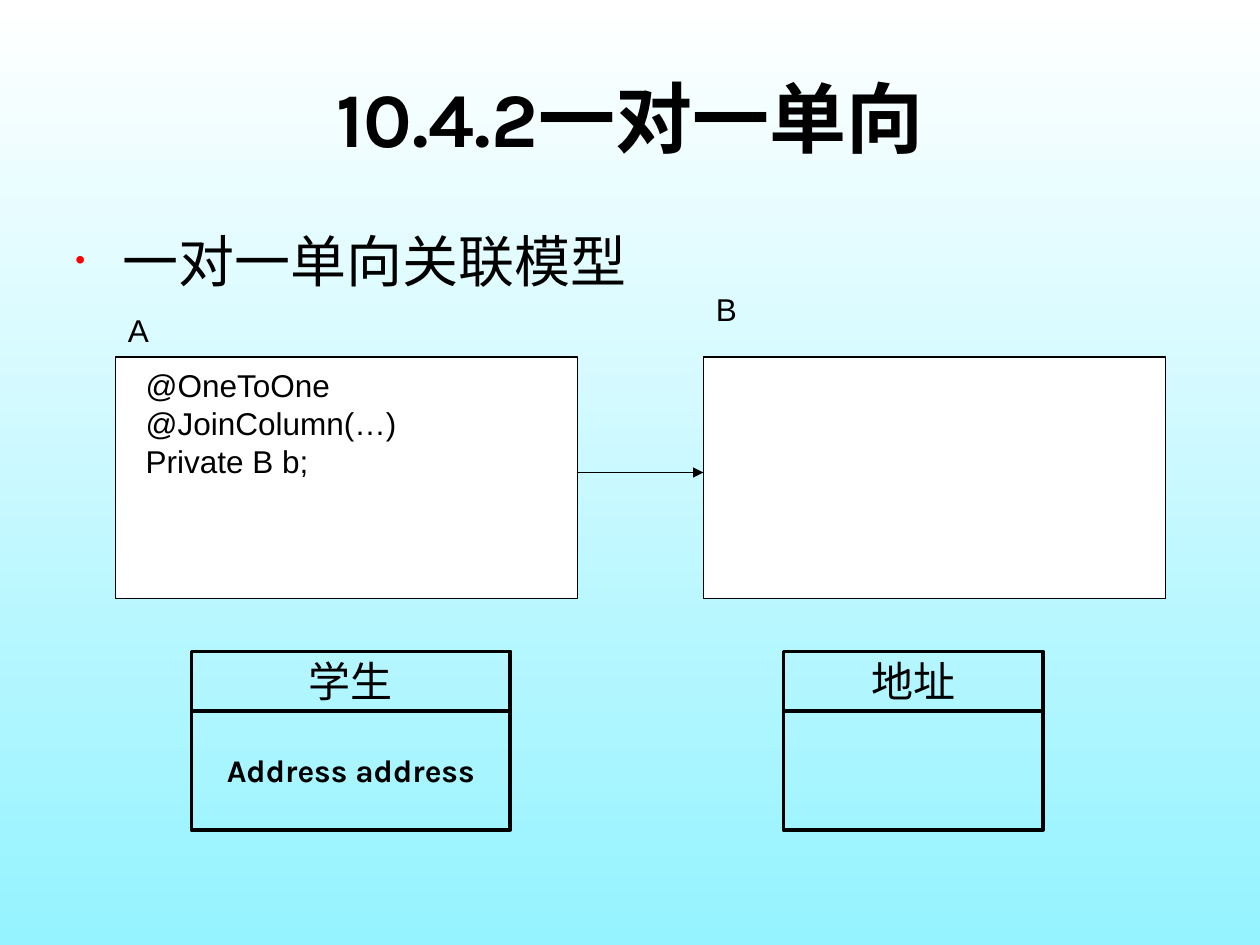
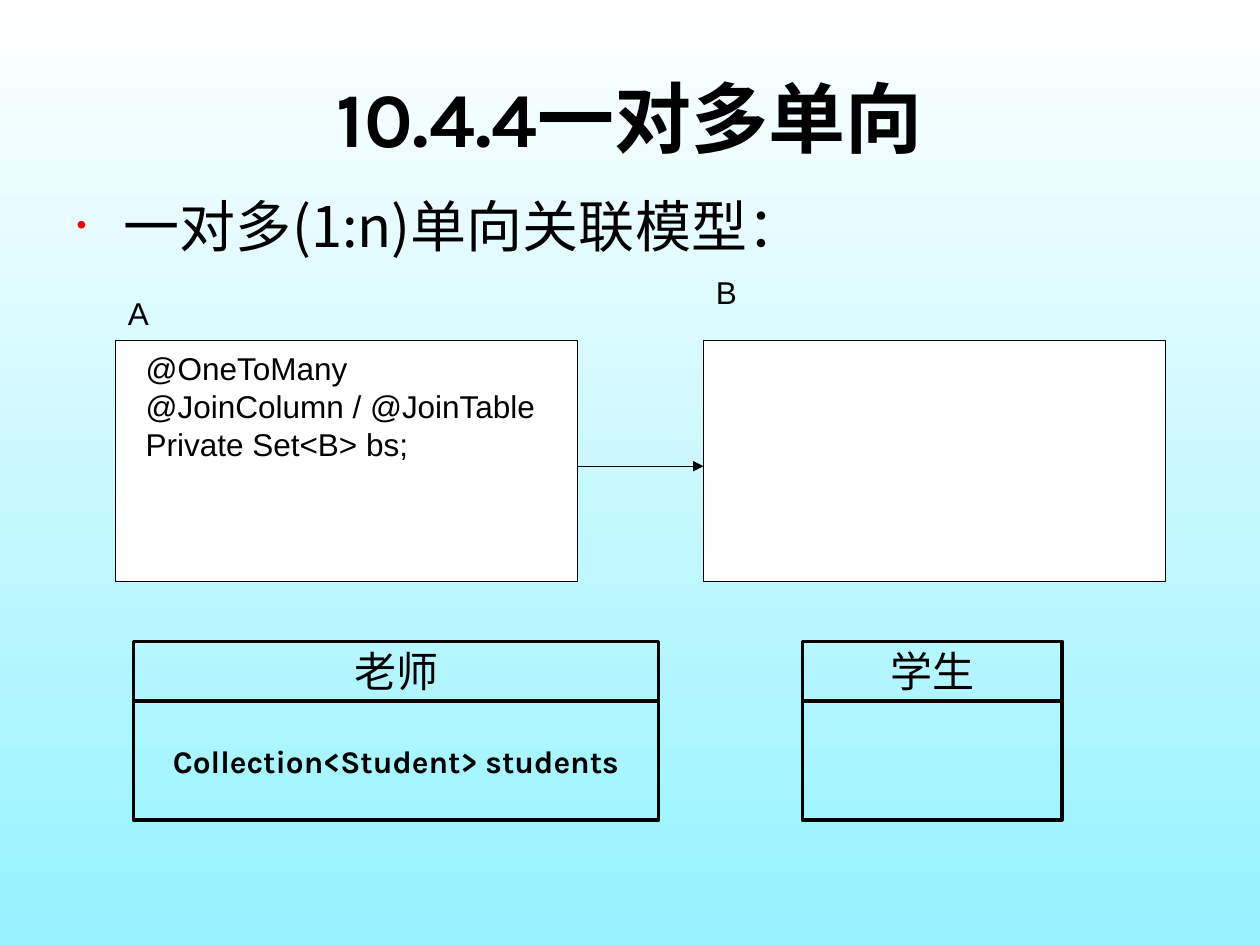
from pptx import Presentation
from pptx.dml.color import RGBColor
from pptx.enum.shapes import MSO_CONNECTOR, MSO_SHAPE
from pptx.enum.text import MSO_ANCHOR, PP_ALIGN
from pptx.oxml.ns import qn
from pptx.util import Pt
from lxml import etree

RECTANGLE = MSO_SHAPE.RECTANGLE
STRAIGHT = MSO_CONNECTOR.STRAIGHT
LEFT, CENTER = PP_ALIGN.LEFT, PP_ALIGN.CENTER
TOP, MIDDLE = MSO_ANCHOR.TOP, MSO_ANCHOR.MIDDLE

COLORS = {"ink": "000000", "paper": "FFFFFF", "sky": "94F3FF", "bullet": "FF0000"}
DISPLAY, CJK, CODE = "Karla", "Noto Sans CJK SC", "Arial"

CLASS_LEFT, CLASS_WIDTH, CLASS_HEIGHT, CLASS_GAP = 66, 264, 138, 72
LABEL_WIDTH, LABEL_HEIGHT = 120, 29
ENTITY_HEADER, ENTITY_BODY = 34, 68

SLIDES = [
    {
        "title": "10.4.2一对一单向",
        "topic": "一对一单向关联模型",
        "topic_box": (36, 126, 648, 356),
        "code": ["@OneToOne", "@JoinColumn(…)", "Private B b;"],
        "classes_top": 204,
        "arrow_drop": 66,
        "entities": [
            ("学生", "Address address", 109.4, 372.2, 182.2),
            ("地址", "", 447.8, 372.2, 148.3),
        ],
    },
    {
        "title": "10.4.4一对多单向",
        "topic": "一对多(1:n)单向关联模型：",
        "topic_box": (36.7, 106, 636, 372),
        "code": ["@OneToMany", "@JoinColumn / @JoinTable", "Private Set<B> bs;"],
        "classes_top": 194.4,
        "arrow_drop": 72,
        "entities": [
            ("老师", "Collection<Student> students", 76.3, 366.5, 300),
            ("学生", "", 458.6, 366.5, 148.3),
        ],
    },
]


def rgb(name):
    return RGBColor.from_string(COLORS[name])


def points(*lengths):
    return [Pt(length) for length in lengths]


def style(paragraph, size, font, bold=False, align=LEFT):
    paragraph.alignment = align
    paragraph.font.size = Pt(size)
    paragraph.font.bold = bold
    paragraph.font.color.rgb = rgb("ink")
    paragraph.font.name = font
    defaults = paragraph.font._element if hasattr(paragraph.font, "_element") else \
        paragraph._p.get_or_add_pPr().find(qn("a:defRPr"))
    etree.SubElement(defaults, qn("a:ea"), typeface=CJK)


def add_box(slide, box, line_width, fill=None):
    rectangle = slide.shapes.add_shape(RECTANGLE, *points(*box))
    rectangle.shadow.inherit = False
    rectangle.line.color.rgb = rgb("ink")
    rectangle.line.width = Pt(line_width)
    if fill:
        rectangle.fill.solid()
        rectangle.fill.fore_color.rgb = rgb(fill)
    else:
        rectangle.fill.background()
    return rectangle


def add_title(slide, text):
    title = slide.shapes.title
    title.left, title.top, title.width, title.height = points(36, 21.6, 648, 90)
    title.text_frame.text = text
    title.text_frame.vertical_anchor = MIDDLE
    style(title.text_frame.paragraphs[0], 44, DISPLAY, True, CENTER)


def add_topic(slide, text, box):
    frame = slide.shapes.add_textbox(*points(*box)).text_frame
    frame.word_wrap = True
    frame.text = text
    paragraph = frame.paragraphs[0]
    properties = paragraph._p.get_or_add_pPr()
    properties.set("marL", str(Pt(27)))
    properties.set("indent", str(-Pt(27)))
    bullet_color = etree.SubElement(properties, qn("a:buClr"))
    etree.SubElement(bullet_color, qn("a:srgbClr"), val=COLORS["bullet"])
    etree.SubElement(properties, qn("a:buSzPct"), val="50000")
    etree.SubElement(properties, qn("a:buFont"), typeface=CODE)
    etree.SubElement(properties, qn("a:buChar"), char="•")
    style(paragraph, 32, CJK)


def add_label(slide, text, left, top):
    frame = slide.shapes.add_textbox(*points(left, top, LABEL_WIDTH, LABEL_HEIGHT)).text_frame
    frame.word_wrap = True
    frame.text = text
    style(frame.paragraphs[0], 18, CODE)


def add_code(class_box, lines):
    frame = class_box.text_frame
    frame.word_wrap = False
    frame.vertical_anchor = TOP
    frame.margin_left, frame.margin_top = points(17.2, 4.8)
    frame.text = "\n".join(lines)
    for paragraph in frame.paragraphs:
        paragraph.line_spacing = Pt(21.7)
        style(paragraph, 18, CODE)


def add_arrow(slide, start, end, y):
    arrow = slide.shapes.add_connector(STRAIGHT, *points(start, y, end, y))
    arrow.line.color.rgb = rgb("ink")
    arrow.line.width = Pt(0.75)
    etree.SubElement(arrow.line._get_or_add_ln(), qn("a:tailEnd"), type="triangle")
    etree.SubElement(arrow._element.spPr, qn("a:effectLst"))


def add_class_pair(slide, code, top, arrow_drop):
    right = CLASS_LEFT + CLASS_WIDTH + CLASS_GAP
    owner, _ = [
        add_box(slide, (left, top, CLASS_WIDTH, CLASS_HEIGHT), 0.75, "paper")
        for left in (CLASS_LEFT, right)
    ]
    add_code(owner, code)
    add_label(slide, "A", CLASS_LEFT, top - 30)
    add_label(slide, "B", right, top - 42)
    add_arrow(slide, right - CLASS_GAP, right, top + arrow_drop)


def add_entity(slide, name, field, left, top, width):
    rows = [
        (name, top, ENTITY_HEADER, 24, False),
        (field, top + ENTITY_HEADER, ENTITY_BODY, 18, True),
    ]
    for text, row_top, height, size, bold in rows:
        row = add_box(slide, (left, row_top, width, height), 2)
        if text:
            row.text_frame.text = text
            row.text_frame.vertical_anchor = MIDDLE
            style(row.text_frame.paragraphs[0], size, DISPLAY, bold, CENTER)


def set_background(master):
    fill = master.background.fill
    fill.gradient()
    fill.gradient_angle = 270
    for stop, name in zip(fill.gradient_stops, ("paper", "sky")):
        stop.color.rgb = rgb(name)


def add_association_slide(deck, content):
    slide = deck.slides.add_slide(deck.slide_layouts.get_by_name("Title Only"))
    add_title(slide, content["title"])
    add_topic(slide, content["topic"], content["topic_box"])
    add_class_pair(slide, content["code"], content["classes_top"], content["arrow_drop"])
    for entity in content["entities"]:
        add_entity(slide, *entity)


def main():
    deck = Presentation()
    deck.slide_width, deck.slide_height = points(720, 540)
    set_background(deck.slide_master)
    for content in SLIDES:
        add_association_slide(deck, content)
    deck.save("out.pptx")


if __name__ == "__main__":
    main()
